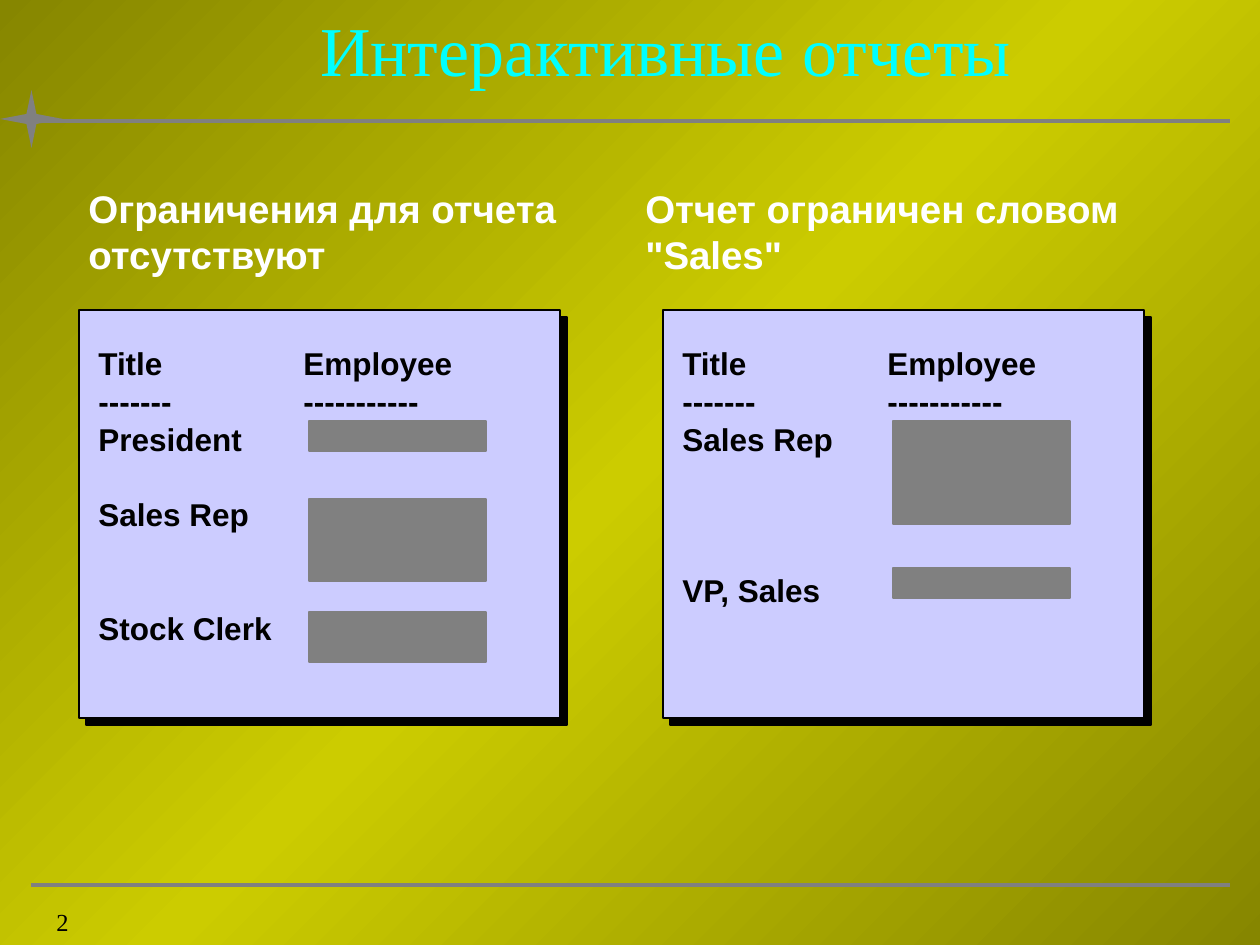
from copy import deepcopy
from dataclasses import dataclass

from lxml import etree
from pptx import Presentation
from pptx.dml.color import RGBColor
from pptx.enum.shapes import MSO_CONNECTOR, MSO_SHAPE
from pptx.enum.text import PP_ALIGN
from pptx.oxml.ns import qn
from pptx.util import Pt


@dataclass(frozen=True)
class Theme:
    """Colours, fonts and type sizes of the slide."""
    edge: str = "868600"
    glow: str = "CCCC00"
    grey: str = "808080"
    panel: str = "CCCCFF"
    black: str = "000000"
    white: str = "FFFFFF"
    cyan: str = "00FFFF"
    serif: str = "Times New Roman"
    sans: str = "Arial"
    title: int = 40
    heading: int = 22
    report: int = 18
    number: int = 14
    leading: float = 1.2


THEME = Theme()
COLUMN = 205


def px(length):
    """Turn px into EMU."""
    return round(length * 914400 / 126)


def rgb(code):
    """Turn a hex code into a colour."""
    return RGBColor.from_string(code)


def add_effects(parent, distance=0):
    """Append an effect list, with a hard diagonal shadow if a distance is given."""
    effects = etree.SubElement(parent, qn("a:effectLst"))
    if distance:
        shadow = etree.SubElement(effects, qn("a:outerShdw"), dist=str(Pt(distance)),
                                  dir="2700000", algn="ctr", rotWithShape="0")
        etree.SubElement(shadow, qn("a:srgbClr"), val=THEME.black)
    return effects


def add_text(slide, box, text, *, size, font, color, bold=False, wrap=True,
             align=PP_ALIGN.LEFT, shadow=0, tab=0, gaps=None):
    """Write paragraphs in a box; gaps maps a paragraph to the lines left above it."""
    frame = slide.shapes.add_textbox(*map(px, box)).text_frame
    frame.word_wrap = wrap
    frame.text = text
    for index, paragraph in enumerate(frame.paragraphs):
        if tab:
            tabs = etree.SubElement(paragraph._p.get_or_add_pPr(), qn("a:tabLst"))
            etree.SubElement(tabs, qn("a:tab"), pos=str(px(tab)), algn="l")
        paragraph.alignment = align
        paragraph.line_spacing = Pt(size * THEME.leading)
        if gaps and index in gaps:
            paragraph.space_before = Pt(gaps[index] * size * THEME.leading)
        for run in paragraph.runs:
            run.font.size = Pt(size)
            run.font.bold = bold
            run.font.color.rgb = rgb(color)
            if shadow:
                add_effects(run._r.get_or_add_rPr(), shadow)
            run.font.name = font


def add_rectangle(slide, box, fill, line, shadow=0):
    """Draw an outlined rectangle."""
    rectangle = slide.shapes.add_shape(MSO_SHAPE.RECTANGLE, *map(px, box))
    rectangle.fill.solid()
    rectangle.fill.fore_color.rgb = rgb(fill)
    rectangle.line.color.rgb = rgb(line)
    rectangle.line.width = Pt(1)
    if shadow:
        add_effects(rectangle._element.spPr, shadow)
    else:
        rectangle.shadow.inherit = False


def add_rule(slide, left, y, right):
    """Draw a horizontal rule."""
    rule = slide.shapes.add_connector(MSO_CONNECTOR.STRAIGHT, px(left), px(y), px(right), px(y))
    rule.line.color.rgb = rgb(THEME.grey)
    rule.line.width = Pt(2.25)
    add_effects(rule._element.spPr)


def add_star(slide, left, top, width, height):
    """Draw a four-pointed star that fills the box."""
    x, y = left + width / 2, top + height / 2
    points = [(left, y), (x - 5, y - 5), (x, top), (x + 5, y - 5),
              (left + width, y), (x + 5, y + 5), (x, top + height), (x - 5, y + 5)]
    corners = [(px(a), px(b)) for a, b in points]
    builder = slide.shapes.build_freeform(*corners[0])
    builder.add_line_segments(corners[1:], close=True)
    star = builder.convert_to_shape()
    star.fill.solid()
    star.fill.fore_color.rgb = rgb(THEME.grey)
    star.line.fill.background()
    star.shadow.inherit = False


def paint_background(slide):
    """Fill the background with a diagonal band of light."""
    fill = slide.background.fill
    fill.gradient()
    fill.gradient_angle = 315
    stop_list = next(slide.element.iter(qn("a:gsLst")))
    stop_list.append(deepcopy(stop_list[-1]))
    colors = (THEME.edge, THEME.glow, THEME.edge)
    for stop, position, color in zip(fill.gradient_stops, (0, 0.5, 1), colors):
        stop.position = position
        stop.color.rgb = rgb(color)


def add_frame(slide, width, height):
    """Add the rules, the star, the title and the slide number."""
    add_rule(slide, 31, height - 60, width - 30)
    add_rule(slide, 31, 121, width - 30)
    add_star(slide, 0, 90, 63, 58)
    add_text(slide, (163, 0, 1005, 121), "Интерактивные отчеты", size=THEME.title,
             font=THEME.serif, color=THEME.cyan, align=PP_ALIGN.CENTER)
    add_text(slide, (0, height - 44, 81, 44), "2", size=THEME.number,
             font=THEME.serif, color=THEME.black, align=PP_ALIGN.RIGHT)


def add_heading(slide, box, text):
    """Add a shadowed heading above a report."""
    add_text(slide, box, text, size=THEME.heading, font=THEME.sans, color=THEME.white,
             bold=True, wrap=False, shadow=2)


def add_report(slide, box, titles, gaps, bars):
    """Add a report panel with its titles and a grey bar for each group of employees."""
    left, top, width, height = box
    add_rectangle(slide, box, THEME.panel, THEME.black, shadow=5.7)
    for bar_top, bar_height in bars:
        add_rectangle(slide, (left + 230, top + bar_top, 177, bar_height),
                      THEME.grey, THEME.grey)
    rows = ["Title\tEmployee", "-------\t-----------", *titles]
    add_text(slide, (left + 7, top + 28, width - 102, height - 93), "\n".join(rows),
             size=THEME.report, font=THEME.sans, color=THEME.black, bold=True,
             wrap=False, tab=COLUMN, gaps=gaps)


def main():
    """Build the slide."""
    deck = Presentation()
    deck.slide_width, deck.slide_height = px(1260), px(945)
    slide = deck.slides.add_slide(deck.slide_layouts[6])
    paint_background(slide)
    add_frame(slide, 1260, 945)
    add_heading(slide, (76, 179, 495, 105), "Ограничения для отчета\vотсутствуют")
    add_heading(slide, (633, 179, 501, 105), "Отчет ограничен словом\v\"Sales\"")
    add_report(slide, (79, 310, 481, 408), ["President", "Sales Rep", "Stock Clerk"],
               {3: 1, 4: 2}, [(111, 30), (189, 82), (302, 50)])
    add_report(slide, (663, 310, 481, 408), ["Sales Rep", "VP, Sales"],
               {3: 3}, [(111, 103), (258, 30)])
    deck.save("out.pptx")


if __name__ == "__main__":
    main()
